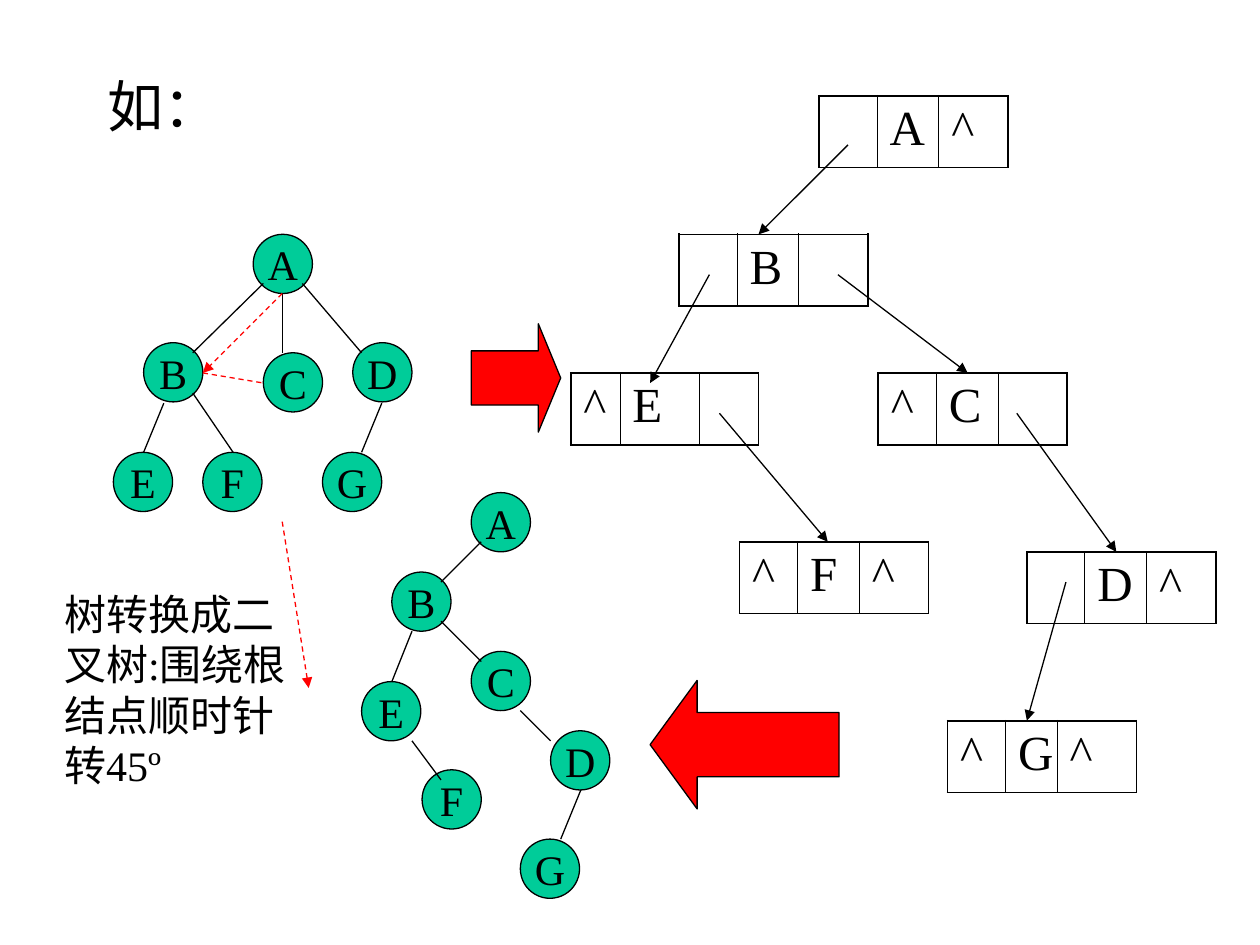
from dataclasses import dataclass
from typing import NamedTuple

from lxml.etree import SubElement
from pptx import Presentation
from pptx.dml.color import RGBColor
from pptx.enum.dml import MSO_LINE
from pptx.enum.shapes import MSO_CONNECTOR, MSO_SHAPE
from pptx.enum.text import MSO_ANCHOR, MSO_AUTO_SIZE, PP_ALIGN
from pptx.oxml.ns import qn
from pptx.util import Inches, Pt


@dataclass(frozen=True)
class Theme:
    font: str = "Times New Roman"
    ink: RGBColor = RGBColor(0, 0, 0)
    node: RGBColor = RGBColor(0x00, 0xCC, 0x99)
    accent: RGBColor = RGBColor(0xFF, 0, 0)
    body_size: int = 32
    cell_size: int = 28
    label_size: int = 24
    line: float = 0.75
    outer_border: float = 1.08
    inner_border: float = 0.45


class Node(NamedTuple):
    label: str
    x: float
    y: float


class Edge(NamedTuple):
    x1: float
    y1: float
    x2: float
    y2: float


class Record(NamedTuple):
    """A linked-list node: left pointer, data, right pointer."""
    x: float
    y: float
    cells: tuple[str, str, str]
    widths: tuple[float, float, float] = (0.46, 0.49, 0.55)


class BlockArrow(NamedTuple):
    kind: MSO_SHAPE
    box: tuple[float, float, float, float]
    head: float


THEME = Theme()
NODE_SIZE = 0.47
ROW_HEIGHT = 0.57

TREE_NODES = [
    Node("A", 2.01, 1.86), Node("B", 1.14, 2.72), Node("C", 2.09, 2.8),
    Node("D", 2.8, 2.72), Node("E", 0.9, 3.59), Node("F", 1.61, 3.59),
    Node("G", 2.56, 3.59),
]
TREE_EDGES = [
    Edge(2.09, 2.25, 1.53, 2.8), Edge(2.24, 2.33, 2.24, 2.8),
    Edge(2.4, 2.25, 2.87, 2.8), Edge(1.3, 3.2, 1.14, 3.59),
    Edge(1.53, 3.12, 1.85, 3.59), Edge(3.03, 3.2, 2.87, 3.59),
]
BINARY_NODES = [
    Node("A", 3.74, 3.91), Node("B", 3.11, 4.54), Node("C", 3.74, 5.17),
    Node("D", 4.37, 5.8), Node("E", 2.87, 5.41), Node("F", 3.35, 6.11),
    Node("G", 4.13, 6.66),
]
BINARY_EDGES = [
    Edge(3.82, 4.3, 3.5, 4.62), Edge(3.27, 5.01, 3.11, 5.41),
    Edge(3.5, 4.93, 3.82, 5.25), Edge(3.27, 5.88, 3.5, 6.19),
    Edge(4.13, 5.64, 4.37, 5.88), Edge(4.61, 6.27, 4.45, 6.66),
]
RECORDS = [
    Record(6.5, 0.76, ("", "A", "^")),
    Record(5.39, 1.86, ("", "B", "")),
    Record(4.53, 2.96, ("^", "E", ""), (0.39, 0.63, 0.47)),
    Record(6.97, 2.96, ("^", "C", "")),
    Record(5.87, 4.3, ("^", "F", "^")),
    Record(8.15, 4.38, ("", "D", "^")),
    Record(7.52, 5.72, ("^", "G", "^"), (0.46, 0.41, 0.63)),
]
POINTERS = [
    Edge(6.73, 1.15, 6.02, 1.86), Edge(5.63, 2.18, 5.16, 3.04),
    Edge(6.65, 2.18, 7.68, 2.96), Edge(5.71, 3.28, 6.57, 4.3),
    Edge(8.07, 3.28, 8.86, 4.38), Edge(8.46, 4.62, 8.15, 5.72),
]
BLOCK_ARROWS = [
    BlockArrow(MSO_SHAPE.RIGHT_ARROW, (3.74, 2.57, 0.71, 0.86), 0.25),
    BlockArrow(MSO_SHAPE.LEFT_ARROW, (5.16, 5.4, 1.5, 1.02), 0.366),
]
SIBLING_LINK = Edge(1.61, 2.96, 2.09, 3.04)
ROTATION_ARROWS = [Edge(2.24, 2.33, 1.61, 2.96), Edge(2.24, 4.14, 2.45, 5.46)]
NOTE_LINES = ["树转换成二", "叉树:围绕根", "结点顺时针", "转45º"]


def add_run(p, text: str, size: int) -> None:
    r = p.add_run()
    r.text = text
    r.font.name = THEME.font
    r.font.size = Pt(size)
    r.font.color.rgb = THEME.ink


def add_body(slide, text: str) -> None:
    slide.shapes.title.element.getparent().remove(slide.shapes.title.element)
    body = slide.placeholders[1]
    body.left, body.top, body.width, body.height = map(Inches, (0.75, 0.52, 8.5, 6.15))
    body.text_frame.auto_size = MSO_AUTO_SIZE.NONE
    p = body.text_frame.paragraphs[0]
    pPr = p._p.get_or_add_pPr()
    pPr.set("marL", str(Inches(0.38)))
    pPr.set("indent", str(-Inches(0.38)))
    SubElement(pPr, qn("a:buNone"))
    p.space_before = Pt(0)
    add_run(p, text, THEME.body_size)


def add_solid(slide, kind: MSO_SHAPE, box: tuple, fill: RGBColor):
    sp = slide.shapes.add_shape(kind, *map(Inches, box))
    sp.shadow.inherit = False
    sp.fill.solid()
    sp.fill.fore_color.rgb = fill
    sp.line.color.rgb = THEME.ink
    sp.line.width = Pt(THEME.line)
    return sp


def add_node(slide, node: Node) -> None:
    box = (node.x, node.y, NODE_SIZE, NODE_SIZE)
    tf = add_solid(slide, MSO_SHAPE.OVAL, box, THEME.node).text_frame
    tf.word_wrap = False
    tf.vertical_anchor = MSO_ANCHOR.MIDDLE
    p = tf.paragraphs[0]
    p.alignment = PP_ALIGN.CENTER
    add_run(p, node.label, THEME.label_size)


def add_edge(slide, edge: Edge, color: RGBColor = THEME.ink,
             dashed: bool = False, arrow: bool = False) -> None:
    cxn = slide.shapes.add_connector(MSO_CONNECTOR.STRAIGHT, *map(Inches, edge))
    cxn.line.color.rgb = color
    cxn.line.width = Pt(THEME.line)
    if dashed:
        cxn.line.dash_style = MSO_LINE.DASH
    if arrow:
        SubElement(cxn.line._get_or_add_ln(), qn("a:tailEnd"), type="triangle")
    SubElement(cxn._element.spPr, qn("a:effectLst"))


def add_border(cell, side: str, width: float) -> None:
    ln = SubElement(cell._tc.get_or_add_tcPr(), qn(f"a:ln{side}"), w=str(Pt(width)))
    SubElement(SubElement(ln, qn("a:solidFill")), qn("a:srgbClr"), val=str(THEME.ink))


def add_record(slide, record: Record) -> None:
    box = (record.x, record.y, sum(record.widths), ROW_HEIGHT)
    table = slide.shapes.add_table(1, 3, *map(Inches, box)).table
    table.first_row = table.horz_banding = False
    last = len(record.cells) - 1
    for i, (text, width) in enumerate(zip(record.cells, record.widths)):
        table.columns[i].width = Inches(width)
        cell = table.cell(0, i)
        outer, inner = THEME.outer_border, THEME.inner_border
        add_border(cell, "L", outer if i == 0 else inner)
        add_border(cell, "R", outer if i == last else inner)
        add_border(cell, "T", outer)
        add_border(cell, "B", outer)
        cell.fill.background()
        if text:
            add_run(cell.text_frame.paragraphs[0], text, THEME.cell_size)


def add_note(slide, lines: list[str]) -> None:
    tf = slide.shapes.add_textbox(*map(Inches, (0.41, 4.62, 2.12, 1.7))).text_frame
    tf.word_wrap = False
    for i, line in enumerate(lines):
        p = tf.add_paragraph() if i else tf.paragraphs[0]
        add_run(p, line, THEME.label_size)


def main() -> None:
    prs = Presentation()
    prs.slide_width, prs.slide_height = Inches(10), Inches(7.5)
    slide = prs.slides.add_slide(prs.slide_layouts[1])
    add_body(slide, "如：")
    for node in TREE_NODES + BINARY_NODES:
        add_node(slide, node)
    for edge in TREE_EDGES + BINARY_EDGES:
        add_edge(slide, edge)
    for record in RECORDS:
        add_record(slide, record)
    for pointer in POINTERS:
        add_edge(slide, pointer, arrow=True)
    for kind, box, head in BLOCK_ARROWS:
        add_solid(slide, kind, box, THEME.accent).adjustments[1] = head
    add_note(slide, NOTE_LINES)
    add_edge(slide, SIBLING_LINK, THEME.accent, dashed=True)
    for edge in ROTATION_ARROWS:
        add_edge(slide, edge, THEME.accent, dashed=True, arrow=True)
    prs.save("out.pptx")


if __name__ == "__main__":
    main()
